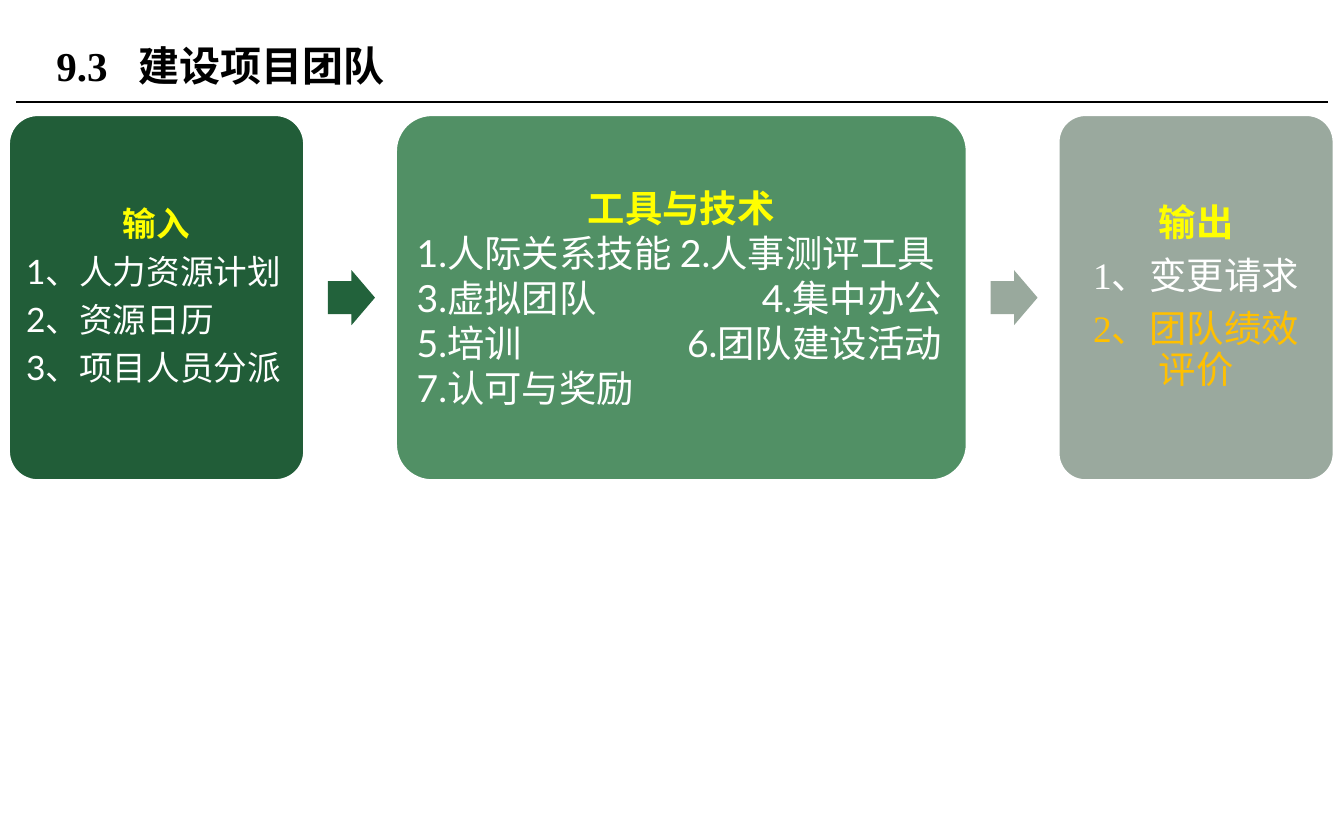
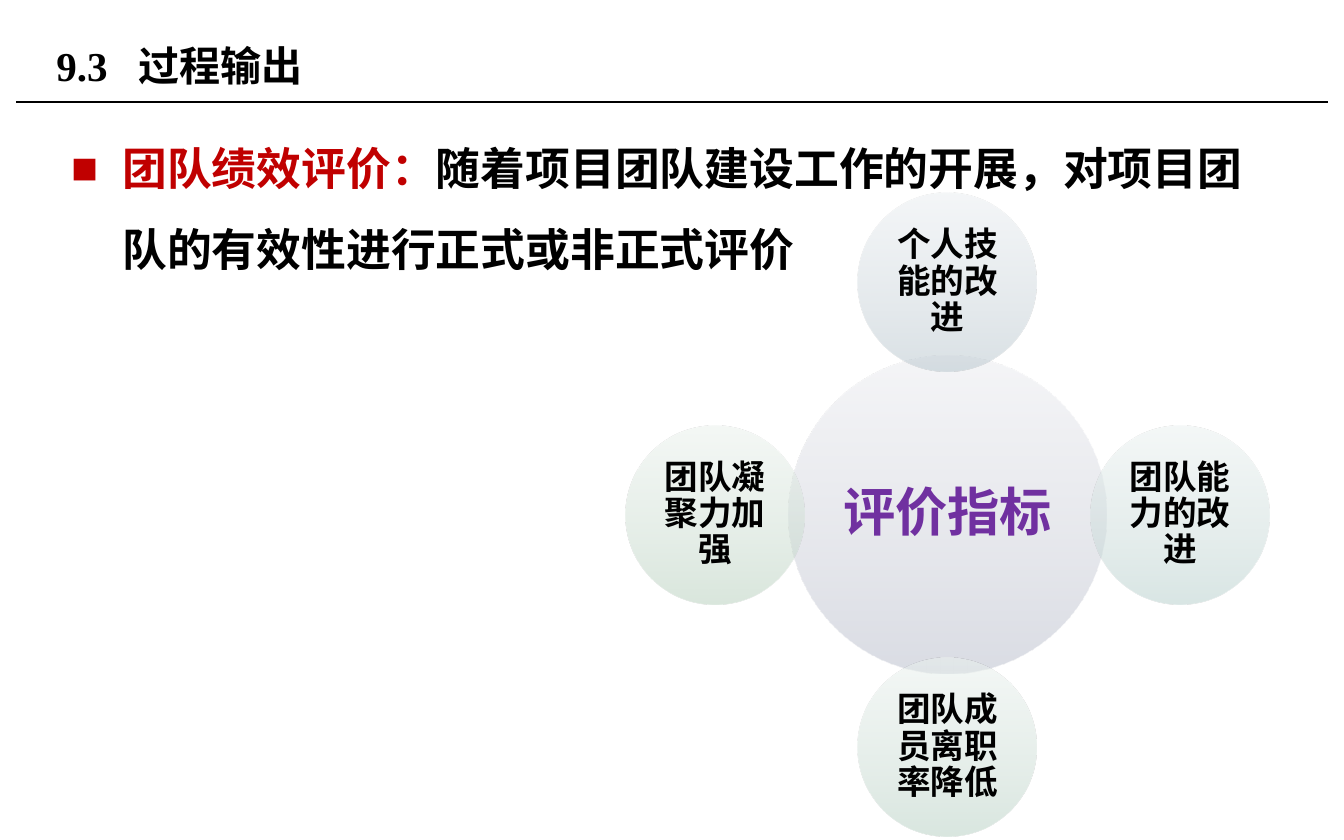
import math

import pptx
import pptx.dml.color
import pptx.enum.shapes
import pptx.enum.text
import pptx.oxml
import pptx.oxml.ns
import pptx.util
from lxml import etree

Inches, Pt = pptx.util.Inches, pptx.util.Pt
SHAPE = pptx.enum.shapes.MSO_SHAPE
ALIGN = pptx.enum.text.PP_ALIGN
ANCHOR = pptx.enum.text.MSO_ANCHOR

SERIF, SANS = "Times New Roman", "Lato"
BLACK, WHITE, YELLOW = "000000", "FFFFFF", "FFFF00"
RED, GOLD, PURPLE = "C00000", "FFC000", "7030A0"


def rgb(color):
    return pptx.dml.color.RGBColor.from_string(color)


def add_xml(parent, tag, **attributes):
    return etree.SubElement(parent, pptx.oxml.ns.qn(tag), attributes)


def add_tabs(p, stops):
    """Set tab stops given as (inches, "l" or "r")."""
    tabs = add_xml(p._p.get_or_add_pPr(), "a:tabLst")
    for position, side in stops:
        add_xml(tabs, "a:tab", pos=str(Inches(position)), algn=side)


def add_bullet(p, char, color, indent):
    pPr = p._p.get_or_add_pPr()
    pPr.set("marL", str(Inches(indent)))
    pPr.set("indent", str(-Inches(indent)))
    add_xml(add_xml(pPr, "a:buClr"), "a:srgbClr", val=color)
    add_xml(pPr, "a:buFont", typeface="Arial")
    add_xml(pPr, "a:buChar", char=char)


def fade(shape, colors):
    """Fill upwards through three half-transparent colours."""
    shape.fill.gradient()
    shape.fill.gradient_angle = 90
    stops = shape._element.spPr.find(".//" + pptx.oxml.ns.qn("a:gsLst"))
    for stop in list(stops):
        stops.remove(stop)
    for position, color in zip((0, 35, 100), colors):
        stop = add_xml(stops, "a:gs", pos=str(position * 1000))
        clr = add_xml(stop, "a:srgbClr", val=color)
        add_xml(clr, "a:alpha", val="50000")


class Deck:
    def __init__(self):
        self.prs = pptx.Presentation()
        self.prs.slide_width, self.prs.slide_height = Inches(10), Inches(6.25)
        self.s = None

    def place(self, sp, left, top, width, height):
        sp.left, sp.top = Inches(left), Inches(top)
        sp.width, sp.height = Inches(width), Inches(height)

    def font(self, p, size, name, color, bold=False):
        p.font.size, p.font.name, p.font.bold = Pt(size), name, bold
        p.font.color.rgb = rgb(color)

    def slide(self, layout, title, title_width):
        """Start a slide with its title and the rule below it."""
        self.s = self.prs.slides.add_slide(self.prs.slide_layouts[layout])
        for ph in list(self.s.placeholders):
            if ph.placeholder_format.idx >= 10:
                ph._element.getparent().remove(ph._element)
        sp = self.s.shapes.title
        self.place(sp, 0.32, 0.13, title_width, 0.71)
        tf = sp.text_frame
        tf.text = title
        tf.auto_size = pptx.enum.text.MSO_AUTO_SIZE.NONE
        tf.vertical_anchor = ANCHOR.MIDDLE
        p = tf.paragraphs[0]
        add_tabs(p, [(0.61, "l")])
        p.alignment = ALIGN.LEFT
        self.font(p, 22, SERIF, BLACK, True)
        self.rule(0.12, 9.88, 0.76)

    def rule(self, left, right, y):
        line = self.s.shapes.add_connector(
            pptx.enum.shapes.MSO_CONNECTOR.STRAIGHT,
            Inches(left), Inches(y), Inches(right), Inches(y))
        line.line.color.rgb = rgb(BLACK)
        line.line.width = Pt(0.75)
        add_xml(line._element.spPr, "a:effectLst")

    def shape(self, kind, left, top, width, height, fill=None):
        sp = self.s.shapes.add_shape(
            kind, Inches(left), Inches(top), Inches(width), Inches(height))
        sp.shadow.inherit = False
        sp.line.fill.background()
        if fill:
            sp.fill.solid()
            sp.fill.fore_color.rgb = rgb(fill)
        return sp

    def inside(self, sp, inset):
        """Prepare the text frame of a shape."""
        tf = sp.text_frame
        tf.word_wrap = True
        tf.vertical_anchor = ANCHOR.MIDDLE
        tf.margin_left = tf.margin_right = Inches(inset)
        tf.margin_top = tf.margin_bottom = Inches(inset)
        return tf

    def line(self, p, text, size, name, color, bold=False,
             align=ALIGN.CENTER, tight=True):
        p.text = text
        p.alignment = align
        if tight:
            p.line_spacing = 0.9
            p.space_after = Pt(round(0.35 * size, 1))
        self.font(p, size, name, color, bold)

    def box(self, left, top, width, height, fill, inset, heading, items,
            size, name=SANS, align=ALIGN.LEFT, tight=True, tabs=()):
        """Draw a rounded box; items are (text, colour) pairs."""
        sp = self.shape(SHAPE.ROUNDED_RECTANGLE, left, top, width, height, fill)
        sp.adjustments[0] = 0.1
        sp.line.color.rgb = rgb(WHITE)
        sp.line.width = Pt(2)
        tf = self.inside(sp, inset)
        self.line(tf.paragraphs[0], heading, size, SANS, YELLOW, True, tight=tight)
        for text, color in items:
            p = tf.add_paragraph()
            if "\t" in text:
                add_tabs(p, tabs)
            self.line(p, text, size, name, color, align=align, tight=tight)

    def arrow(self, left, middle, fill):
        sp = self.shape(SHAPE.RIGHT_ARROW, left, middle - 0.205, 0.35, 0.41, fill)
        sp.adjustments[0], sp.adjustments[1] = 0.6, 0.5

    def circle(self, x, y, diameter, colors, text, size, name, color, inset):
        sp = self.shape(SHAPE.OVAL, x - diameter / 2, y - diameter / 2,
                        diameter, diameter)
        fade(sp, colors)
        p = self.inside(sp, inset).paragraphs[0]
        self.line(p, text, size, name, color, True)

    def body(self, left, top, width, height, lead, text):
        """Fill the body placeholder with one bullet that opens in red."""
        sp = self.s.placeholders[1]
        self.place(sp, left, top, width, height)
        tf = sp.text_frame
        tf.auto_size = pptx.enum.text.MSO_AUTO_SIZE.NONE
        p = tf.paragraphs[0]
        add_bullet(p, "■", RED, 0.38)
        p.line_spacing, p.space_before = 1.5, Pt(0)
        p.font.size, p.font.name, p.font.bold = Pt(24), SERIF, True
        for part, color in ((lead, RED), (text, BLACK)):
            r = p.add_run()
            r.text = part
            r.font.color.rgb = rgb(color)


def process_slide(deck):
    deck.slide(5, "9.3\t建设项目团队", 6.38)
    top, height, gap = 0.85, 2.73, 0.67
    boxes = [
        dict(width=2.21, fill="215D38", inset=0.07, size=18, heading="输入",
             items=[("1、人力资源计划", WHITE), ("2、资源日历", WHITE),
                    ("3、项目人员分派", WHITE)]),
        dict(width=4.26, fill="519065", inset=0.08, size=20, heading="工具与技术",
             items=[("1.人际关系技能 2.人事测评工具\t3.虚拟团队\t4.集中办公", WHITE),
                    ("5.培训\t6.团队建设活动", WHITE), ("7.认可与奖励", WHITE)],
             tight=False, tabs=[(0.48, "l"), (3.91, "r")]),
        dict(width=2.06, fill="9AA99E", inset=0.08, size=20, heading="输出",
             items=[("1、变更请求", WHITE), ("2、团队绩效评价", GOLD)],
             name=SERIF, align=ALIGN.CENTER),
    ]
    left = 0.06
    for box, arrow_fill in zip(boxes, ("22623B", "99A99D", None)):
        deck.box(left=left, top=top, height=height, **box)
        left += box["width"] + gap
        if arrow_fill:
            deck.arrow(left - 0.5, top + height / 2, arrow_fill)


def output_slide(deck):
    deck.slide(1, "9.3\t过程输出", 7.28)
    deck.body(0.43, 0.8, 8.98, 3.9, "团队绩效评价：",
              "随着项目团队建设工作的开展，对项目团队的有效性进行正式或非正式评价")
    x, y, orbit = 7.05, 3.83, 1.73
    deck.circle(x, y, 2.36, ("B6BBCA", "CCCFD9", "ECEDF1"),
                "评价指标", 28, SANS, PURPLE, 0.04)
    indicators = [
        ("个人技能的改进", ("B5C4CC", "CBD5DB", "EBEFF2")),
        ("团队能力的改进", ("B4CECB", "CBDCDA", "EBF2F1")),
        ("团队成员离职率降低", ("B4CFC1", "CBDDD4", "EBF2EF")),
        ("团队凝聚力加强", ("B5CFBB", "CBDDD0", "EBF2ED")),
    ]
    for i, (text, colors) in enumerate(indicators):
        angle = 2 * math.pi * i / len(indicators)
        deck.circle(x + orbit * math.sin(angle), y - orbit * math.cos(angle),
                    1.33, colors, text, 18, SERIF, BLACK, 0.03)


def main():
    deck = Deck()
    process_slide(deck)
    output_slide(deck)
    deck.prs.save("out.pptx")


if __name__ == "__main__":
    main()
